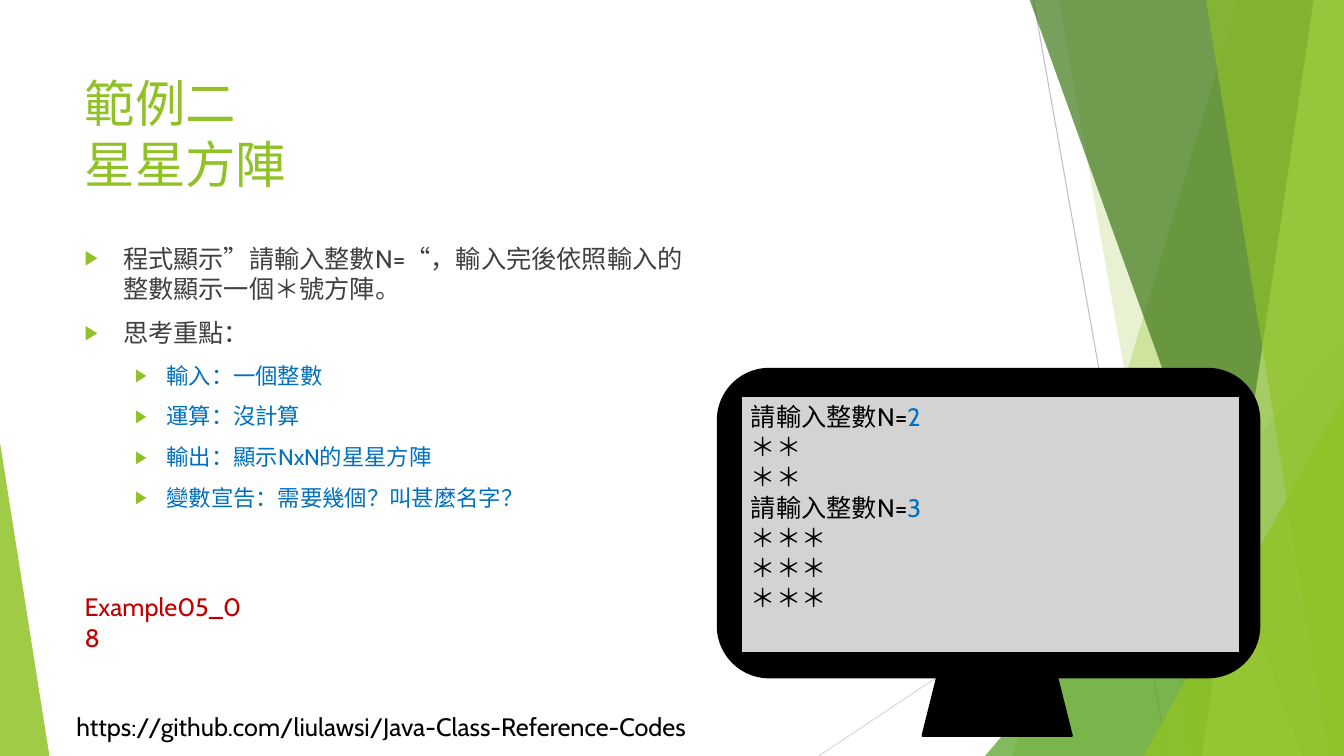
from lxml.etree import SubElement
from pptx import Presentation
from pptx.dml.color import RGBColor
from pptx.enum.shapes import MSO_CONNECTOR, MSO_SHAPE
from pptx.enum.text import MSO_ANCHOR, MSO_AUTO_SIZE, PP_ALIGN
from pptx.oxml.ns import qn
from pptx.util import Inches, Pt

WIDTH, HEIGHT = 13.33, 7.5
GREEN, BLUE, BLACK = "90C226", "0070C0", "000000"


def color(value):
    return RGBColor.from_string(value)


def add_text(paragraph, text, font="Cabin", size=18, hue=BLACK):
    for number, line in enumerate(text.split("\n")):
        if number:
            paragraph.add_line_break()
        run = paragraph.add_run()
        run.text = line
        run.font.name = font
        run.font.size = Pt(size)
        run.font.color.rgb = color(hue)


class SlideBuilder:
    """Draws styled elements on one slide."""

    def __init__(self, deck):
        self.slide = deck.slides.add_slide(deck.slide_layouts[1])
        self.shapes = self.slide.shapes

    def paint(self, shape, fill, opacity=100, outline=None):
        shape.shadow.inherit = False
        shape.fill.solid()
        shape.fill.fore_color.rgb = color(fill)
        if opacity < 100:
            hue = shape.fill._xPr.find(qn("a:solidFill"))[0]
            SubElement(hue, qn("a:alpha"), val=str(opacity * 1000))
        if outline:
            shape.line.color.rgb = color(outline)
            shape.line.width = Pt(1.5)
        else:
            shape.line.fill.background()

    def line(self, start, end, hue):
        points = [Inches(value) for value in start + end]
        connector = self.shapes.add_connector(MSO_CONNECTOR.STRAIGHT, *points)
        connector.line.color.rgb = color(hue)
        connector.line.width = Pt(0.75)
        SubElement(connector._element.spPr, qn("a:effectLst"))

    def band(self, top_x, bottom_x, fill, opacity):
        builder = self.shapes.build_freeform(Inches(top_x), Inches(-0.01), scale=1.0)
        corners = [(WIDTH, -0.01), (WIDTH, HEIGHT), (bottom_x, HEIGHT)]
        builder.add_line_segments([(Inches(x), Inches(y)) for x, y in corners])
        self.paint(builder.convert_to_shape(), fill, opacity)

    def shape(self, kind, box, fill, opacity=100, outline=None, adjust=None):
        shape = self.shapes.add_shape(kind, *map(Inches, box))
        self.paint(shape, fill, opacity, outline)
        if adjust is not None:
            shape.adjustments[0] = adjust
        return shape

    def place(self, placeholder, box):
        placeholder.left, placeholder.top, placeholder.width, placeholder.height = map(Inches, box)
        frame = placeholder.text_frame
        frame.auto_size = MSO_AUTO_SIZE.NONE
        frame.vertical_anchor = MSO_ANCHOR.TOP
        return frame

    def title(self, text, box):
        heading = self.place(self.shapes.title, box).paragraphs[0]
        heading.alignment = PP_ALIGN.LEFT
        add_text(heading, text, size=36, hue=GREEN)

    def bullets(self, items, box):
        frame = self.place(self.slide.placeholders[1], box)
        for number, (level, text) in enumerate(items):
            item = frame.add_paragraph() if number else frame.paragraphs[0]
            item.level = level
            item.space_before = Pt(10 if number else 0)
            margin, hang, size, hue = [(0.38, 0.38, 18, "404040"), (0.81, 0.31, 16, BLUE)][level]
            properties = item._p.get_or_add_pPr()
            properties.set("marL", str(Inches(margin)))
            properties.set("indent", str(-Inches(hang)))
            bullet_color = SubElement(properties, qn("a:buClr"))
            SubElement(bullet_color, qn("a:srgbClr"), val=GREEN)
            SubElement(properties, qn("a:buSzPct"), val="80000")
            SubElement(properties, qn("a:buChar"), char="▶")
            add_text(item, text, size=size, hue=hue)

    def label(self, text, box, wrap, hue=BLACK):
        frame = self.shapes.add_textbox(*map(Inches, box)).text_frame
        frame.word_wrap = wrap
        add_text(frame.paragraphs[0], text, hue=hue)

    def console(self, rows, box):
        frame = self.shape(MSO_SHAPE.RECTANGLE, box, "D3D3D3", outline=BLACK).text_frame
        frame.vertical_anchor = MSO_ANCHOR.TOP
        frame.word_wrap = True
        for number, (output, typed) in enumerate(rows):
            row = frame.add_paragraph() if number else frame.paragraphs[0]
            row.alignment = PP_ALIGN.LEFT
            add_text(row, output)
            if typed:
                add_text(row, typed, hue=BLUE)


def main():
    deck = Presentation()
    deck.slide_width, deck.slide_height = Inches(WIDTH), Inches(HEIGHT)
    page = SlideBuilder(deck)

    page.line((10.25, 0), (11.58, HEIGHT), "BFBFBF")
    page.line((WIDTH, 4.03), (8.12, HEIGHT), "D9D9D9")
    page.band(12.28, 10.04, GREEN, 30)
    page.band(10.5, 11.83, GREEN, 20)
    page.shape(MSO_SHAPE.ISOSCELES_TRIANGLE, (9.77, 3.33, 3.56, 4.17), "54A021", 72, adjust=1)
    page.band(10.21, 12.91, "3F7819", 70)
    page.band(13.03, 11.92, "C0E474", 70)
    page.band(11.96, 13.18, GREEN, 65)
    page.shape(MSO_SHAPE.ISOSCELES_TRIANGLE, (11.34, 3.93, 1.99, 3.57), GREEN, 80, adjust=1)
    page.shape(MSO_SHAPE.ISOSCELES_TRIANGLE, (0, 4.39, 0.49, 3.11), GREEN, 85, adjust=0)

    page.label("https://github.com/liulawsi/Java-Class-Reference-Codes", (0.66, 7.01, 6.7, 0.4), wrap=False)
    page.title("範例二\n星星方陣", (0.74, 0.67, 9.4, 1.44))
    page.bullets([
        (0, "程式顯示”請輸入整數N=“，輸入完後依照輸入的整數顯示一個＊號方陣。"),
        (0, "思考重點："),
        (1, "輸入：一個整數"),
        (1, "運算：沒計算"),
        (1, "輸出：顯示NxN的星星方陣"),
        (1, "變數宣告：需要幾個？叫甚麼名字？"),
    ], (0.74, 2.36, 6.38, 4.24))

    page.shape(MSO_SHAPE.ROUNDED_RECTANGLE, (7.12, 3.66, 5.37, 3.06), BLACK, outline=BLACK)
    rows = []
    for size in (2, 3):
        rows.append(("請輸入整數N=", str(size)))
        rows += [("＊" * size, "")] * size
    page.console(rows, (7.35, 3.93, 4.95, 2.55))
    page.shape(MSO_SHAPE.TRAPEZOID, (9.15, 6.71, 1.48, 0.59), BLACK, outline=BLACK)
    page.label("Example05_08", (0.74, 5.82, 1.83, 0.4), wrap=True, hue="C00000")

    deck.save("out.pptx")


if __name__ == "__main__":
    main()
